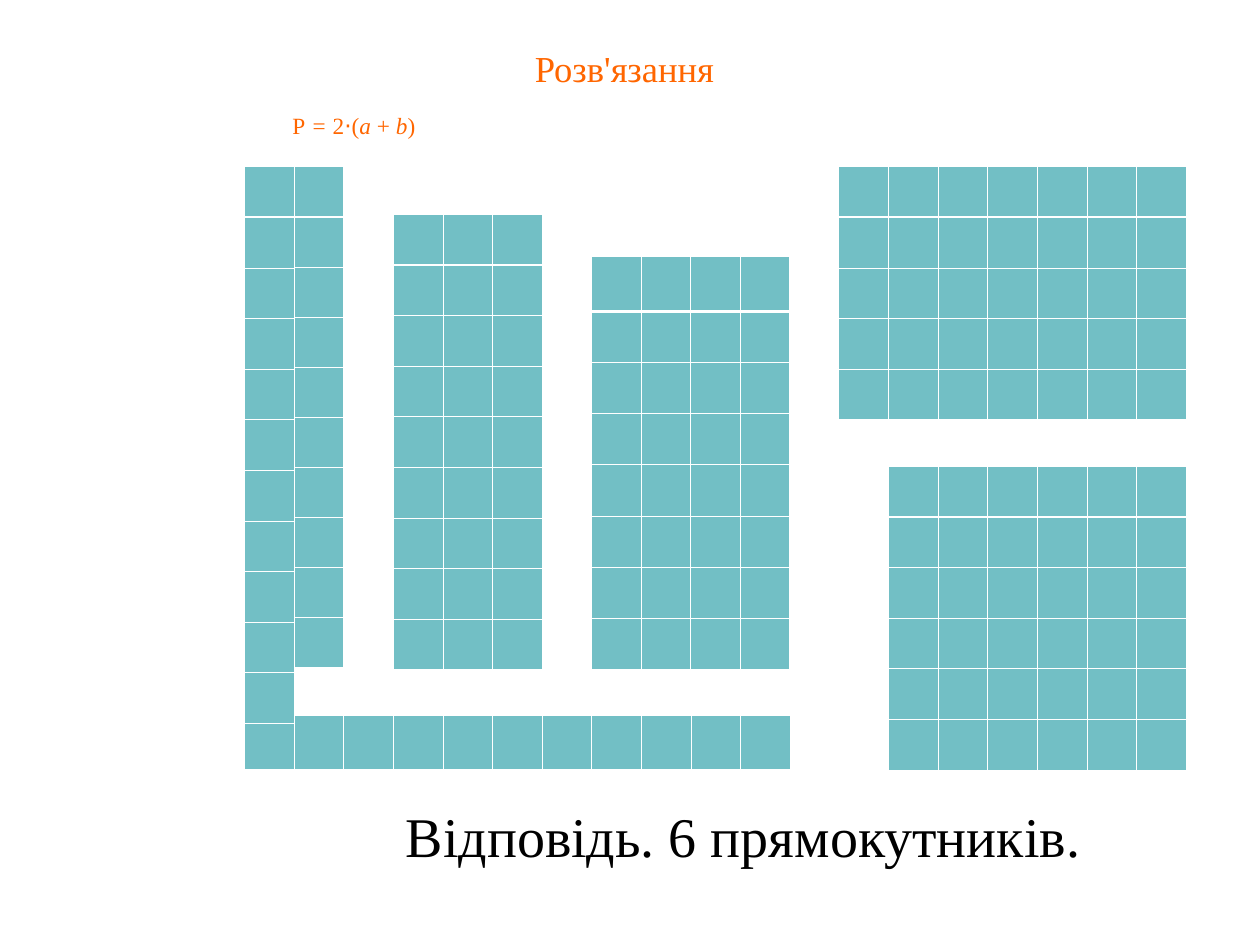
import lxml.etree
import pptx
import pptx.dml.color
import pptx.enum.text
import pptx.oxml.ns
import pptx.util

Cm, Pt = pptx.util.Cm, pptx.util.Pt
TEAL = pptx.dml.color.RGBColor(0x72, 0xBF, 0xC5)
ORANGE = pptx.dml.color.RGBColor(0xFF, 0x66, 0x00)
BLACK = pptx.dml.color.RGBColor(0, 0, 0)
WHITE = pptx.dml.color.RGBColor(0xFF, 0xFF, 0xFF)
SERIF = "Times New Roman"
THIN, THICK = Pt(0.45), Pt(1.47)


def add_border(cell, side, width):
    qn = pptx.oxml.ns.qn
    line = lxml.etree.SubElement(cell._tc.get_or_add_tcPr(), qn("a:ln" + side), w=str(width))
    fill = lxml.etree.SubElement(line, qn("a:solidFill"))
    lxml.etree.SubElement(fill, qn("a:srgbClr"), val=str(WHITE))


def style_run(run, size, color, font=SERIF, italic=False):
    run.font.name = font
    run.font.size = Pt(size)
    run.font.color.rgb = color
    run.font.italic = italic


prs = pptx.Presentation()
prs.slide_width, prs.slide_height = Cm(25.4), Cm(19.05)
slide = prs.slides.add_slide(prs.slide_layouts[5])

# Heading with the perimeter formula below it
heading = slide.shapes.title
heading.left, heading.top, heading.width, heading.height = Cm(0.84), Cm(0.8), Cm(23.5), Cm(3.89)
frame = heading.text_frame
frame.text = "Розв'язання"
frame.word_wrap = True
frame.auto_size = pptx.enum.text.MSO_AUTO_SIZE.NONE
frame.vertical_anchor = pptx.enum.text.MSO_ANCHOR.TOP
frame.paragraphs[0].alignment = pptx.enum.text.PP_ALIGN.CENTER
style_run(frame.paragraphs[0].runs[0], 20.9, ORANGE)

formula = frame.add_paragraph()
formula.alignment = pptx.enum.text.PP_ALIGN.LEFT
formula.space_before = Pt(12)
formula._p.get_or_add_pPr().set("marL", str(Cm(4.8)))
for part, font, italic in [
    ("P", SERIF, False), (" = ", SERIF, True), ("2", SERIF, False), ("⋅", "Arial", False),
    ("(", SERIF, False), ("a", SERIF, True), (" + ", SERIF, False), ("b", SERIF, True),
    (")", SERIF, False),
]:
    run = formula.add_run()
    run.text = part
    style_run(run, 13.3, ORANGE, font, italic)

# Rectangles of unit squares: left, top, columns, first row height, other rows' height, rows
UNIT = 1.0
rectangles = [
    (4.93, 14.43, 11, 1.09, 1.09, 1),
    (4.93, 3.36, 2, 1.01, 1.01, 10),
    (17.91, 9.4, 6, 1.02, 1.02, 6),
    (7.93, 4.32, 3, 1.02, 1.02, 9),
    (11.92, 5.16, 4, 1.12, 1.03, 8),
    (16.91, 3.36, 7, 1.02, 1.02, 5),
    (4.93, 3.36, 1, 1.02, 1.02, 11),
]
for left, top, columns, first_height, height, rows in rectangles:
    total_height = first_height + height * (rows - 1)
    grid = slide.shapes.add_table(
        rows, columns, Cm(left), Cm(top), Cm(columns * UNIT), Cm(total_height)
    ).table
    grid.first_row = grid.horz_banding = False
    for column in grid.columns:
        column.width = Cm(UNIT)
    for r, row in enumerate(grid.rows):
        row.height = Cm(height if r else first_height)
        for square in row.cells:
            square.margin_left = square.margin_right = 0
            square.margin_top = square.margin_bottom = 0
            add_border(square, "L", THIN)
            add_border(square, "R", THIN)
            add_border(square, "T", THICK if r == 1 else THIN)
            add_border(square, "B", THICK if r == 0 else THIN)
            square.fill.solid()
            square.fill.fore_color.rgb = TEAL

answer = slide.shapes.add_textbox(Cm(7.93), Cm(16.03), Cm(14.53), Cm(1.63))
answer.text_frame.word_wrap = True
answer.text_frame.text = "Відповідь. 6 прямокутників."
style_run(answer.text_frame.paragraphs[0].runs[0], 32, BLACK)

prs.save("out.pptx")
